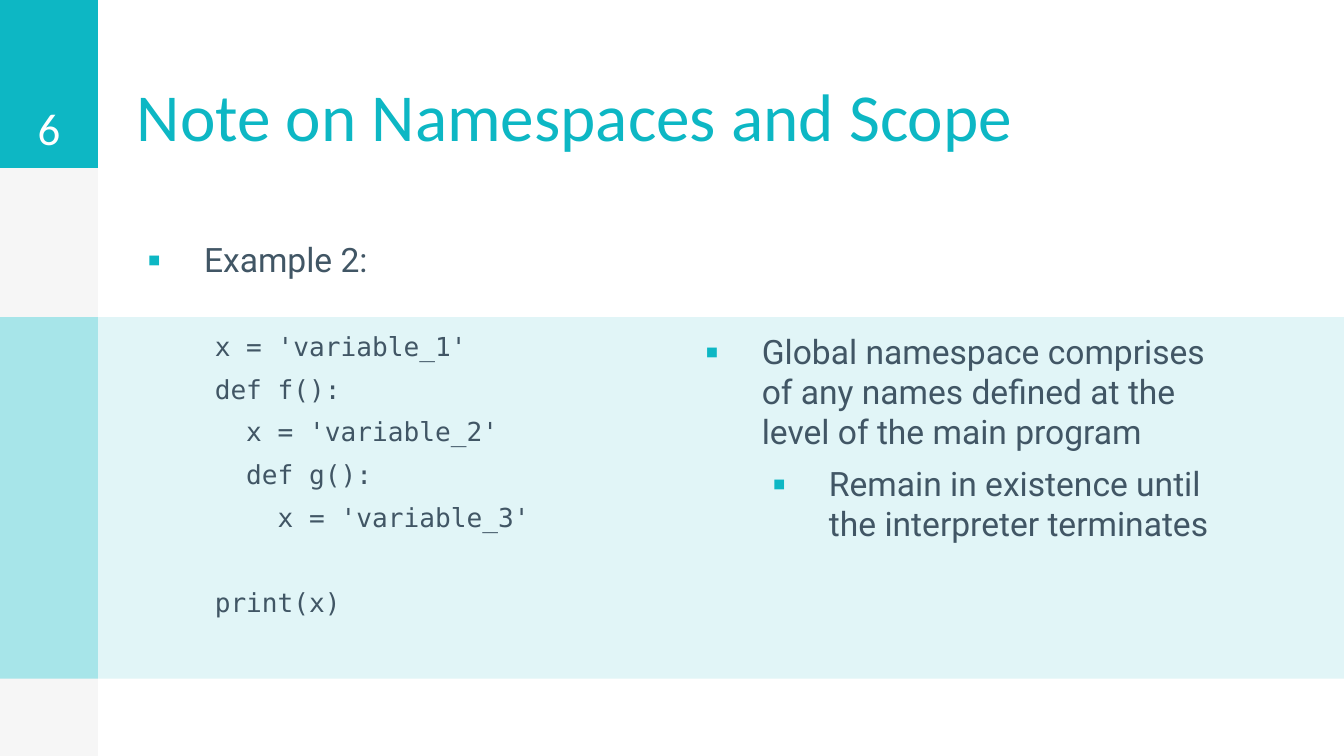
from dataclasses import dataclass

from lxml import etree
from pptx import Presentation
from pptx import util as u
from pptx.dml.color import RGBColor
from pptx.enum import shapes, text
from pptx.oxml.ns import qn


@dataclass(frozen=True)
class Theme:
    accent: str = "0DB7C4"
    accent_soft: str = "A7E5E9"
    band: str = "E1F5F7"
    rail: str = "F6F6F6"
    ink: str = "415665"
    white: str = "FFFFFF"
    heading_font: str = "Calibri"
    body_font: str = "Roboto"
    code_font: str = "DejaVu Sans Mono"
    title_size: int = 36
    number_size: int = 24
    body_size: int = 18
    code_size: int = 14
    gap: int = 6
    blank_line: int = 23


THEME = Theme()
WIDTH = 10
HEIGHT = WIDTH * 9 / 16
RAIL = 0.73
HEADER = 1.25
BAND_TOP, BAND_HEIGHT = 2.36, 2.69
COLUMN_WIDTH = 4.17
LEFT_COLUMN, RIGHT_COLUMN = 0.92, 5.07
INTRO_TOP, INTRO_HEIGHT = 1.68, 3.71
INSET = 0.1
BULLET_INDENT, BULLET_HANG = 0.5, 0.42
CODE_INDENT = 0.58

CODE = """x = 'variable_1'
def f():
  x = 'variable_2'
  def g():
    x = 'variable_3'

print(x)"""


def add_block(slide, left, top, width, height, color):
    block = slide.shapes.add_shape(
        shapes.MSO_SHAPE.RECTANGLE, *map(u.Inches, (left, top, width, height)))
    block.shadow.inherit = False
    block.fill.solid()
    block.fill.fore_color.rgb = RGBColor.from_string(color)
    block.line.fill.background()


def add_frame(slide, left, top, width, height, anchor=text.MSO_ANCHOR.TOP):
    frame = slide.shapes.add_textbox(
        *map(u.Inches, (left, top, width, height))).text_frame
    frame.word_wrap = True
    frame.vertical_anchor = anchor
    frame.margin_left = frame.margin_right = u.Inches(INSET)
    frame.margin_top = frame.margin_bottom = u.Inches(INSET)
    return frame


def style(paragraph, font, size, color):
    paragraph.font.name = font
    paragraph.font.size = u.Pt(size)
    paragraph.font.color.rgb = RGBColor.from_string(color)


def indent(paragraph, left, first=0):
    properties = paragraph._p.get_or_add_pPr()
    properties.set("marL", str(u.Inches(left)))
    properties.set("indent", str(u.Inches(first)))
    return properties


def add_bullet(paragraph):
    properties = indent(paragraph, BULLET_INDENT * (paragraph.level + 1), -BULLET_HANG)
    color = etree.SubElement(properties, qn("a:buClr"))
    etree.SubElement(color, qn("a:srgbClr"), val=THEME.accent)
    etree.SubElement(properties, qn("a:buFont"), typeface=THEME.body_font)
    etree.SubElement(properties, qn("a:buChar"), char="▪")


def add_heading(slide, words, left, width, size, color, align):
    frame = add_frame(slide, left, 0, width, HEADER, text.MSO_ANCHOR.BOTTOM)
    heading = frame.paragraphs[0]
    heading.text = words
    heading.alignment = align
    style(heading, THEME.heading_font, size, color)


def add_bullets(slide, left, top, height, points):
    frame = add_frame(slide, left, top, COLUMN_WIDTH, height)
    for level, words in enumerate(points):
        point = frame.add_paragraph() if level else frame.paragraphs[0]
        point.text = words
        point.level = level
        if level:
            point.space_before = u.Pt(THEME.gap)
        add_bullet(point)
        style(point, THEME.body_font, THEME.body_size, THEME.ink)


def add_code(slide, left, top, height, code):
    frame = add_frame(slide, left, top, COLUMN_WIDTH, height)
    for block_index, block in enumerate(code.split("\n\n")):
        for line_index, words in enumerate(block.split("\n")):
            first = block_index == line_index == 0
            line = frame.paragraphs[0] if first else frame.add_paragraph()
            line.text = words
            line.level = 1
            indent(line, CODE_INDENT)
            if not first:
                opens_block = line_index == 0
                line.space_before = u.Pt(THEME.gap + THEME.blank_line * opens_block)
            style(line, THEME.code_font, THEME.code_size, THEME.ink)


def main():
    deck = Presentation()
    deck.slide_width, deck.slide_height = u.Inches(WIDTH), u.Inches(HEIGHT)
    slide = deck.slides.add_slide(deck.slide_layouts[6])

    add_block(slide, 0, 0, RAIL, HEIGHT, THEME.rail)
    add_block(slide, 0, 0, RAIL, HEADER, THEME.accent)
    add_heading(slide, "Note on Namespaces and Scope", LEFT_COLUMN, 2 * COLUMN_WIDTH,
                THEME.title_size, THEME.accent, text.PP_ALIGN.LEFT)
    add_bullets(slide, LEFT_COLUMN, INTRO_TOP, INTRO_HEIGHT, ["Example 2:"])
    add_heading(slide, "6", 0, RAIL, THEME.number_size, THEME.white, text.PP_ALIGN.CENTER)

    add_block(slide, RAIL, BAND_TOP, WIDTH - RAIL, BAND_HEIGHT, THEME.band)
    add_code(slide, LEFT_COLUMN, BAND_TOP, BAND_HEIGHT, CODE)
    add_block(slide, 0, BAND_TOP, RAIL, BAND_HEIGHT, THEME.accent_soft)
    add_bullets(slide, RIGHT_COLUMN, BAND_TOP, BAND_HEIGHT, [
        "Global namespace comprises of any names defined at the level of the main program",
        "Remain in existence until the interpreter terminates",
    ])
    deck.save("out.pptx")


if __name__ == "__main__":
    main()
